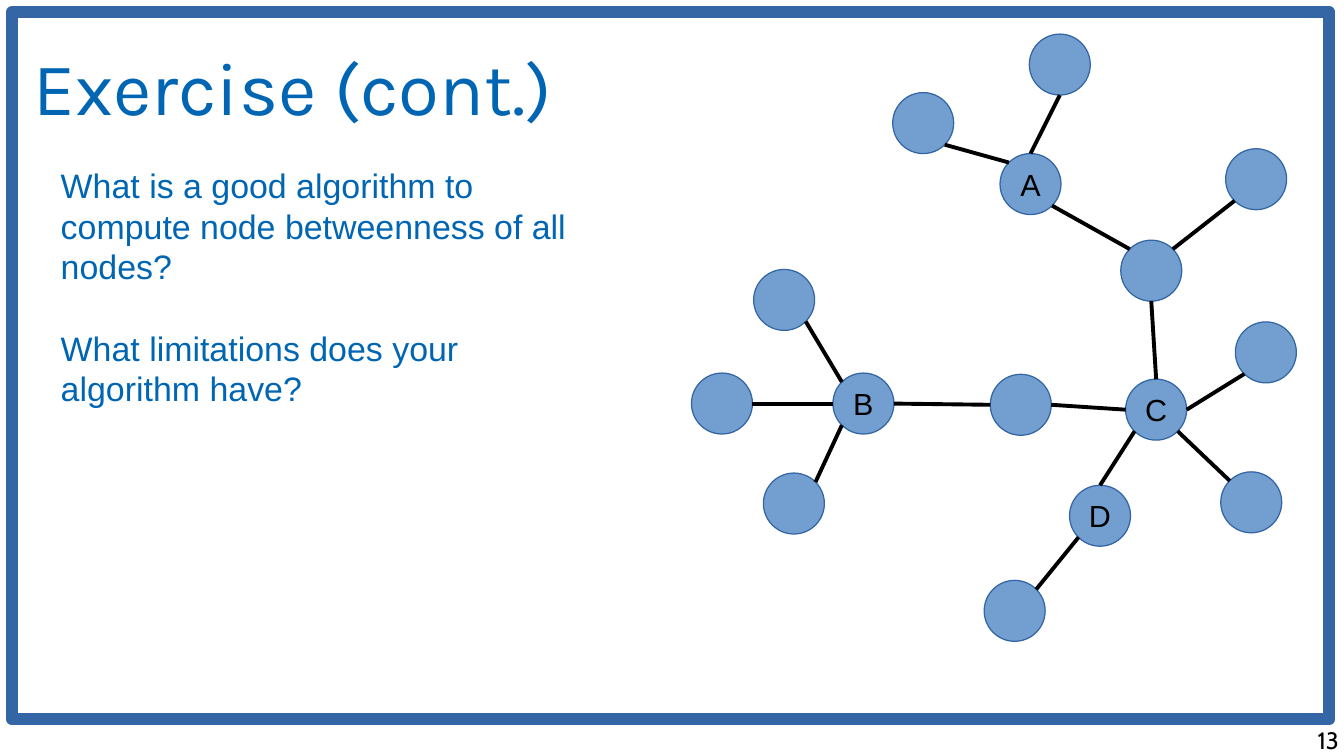
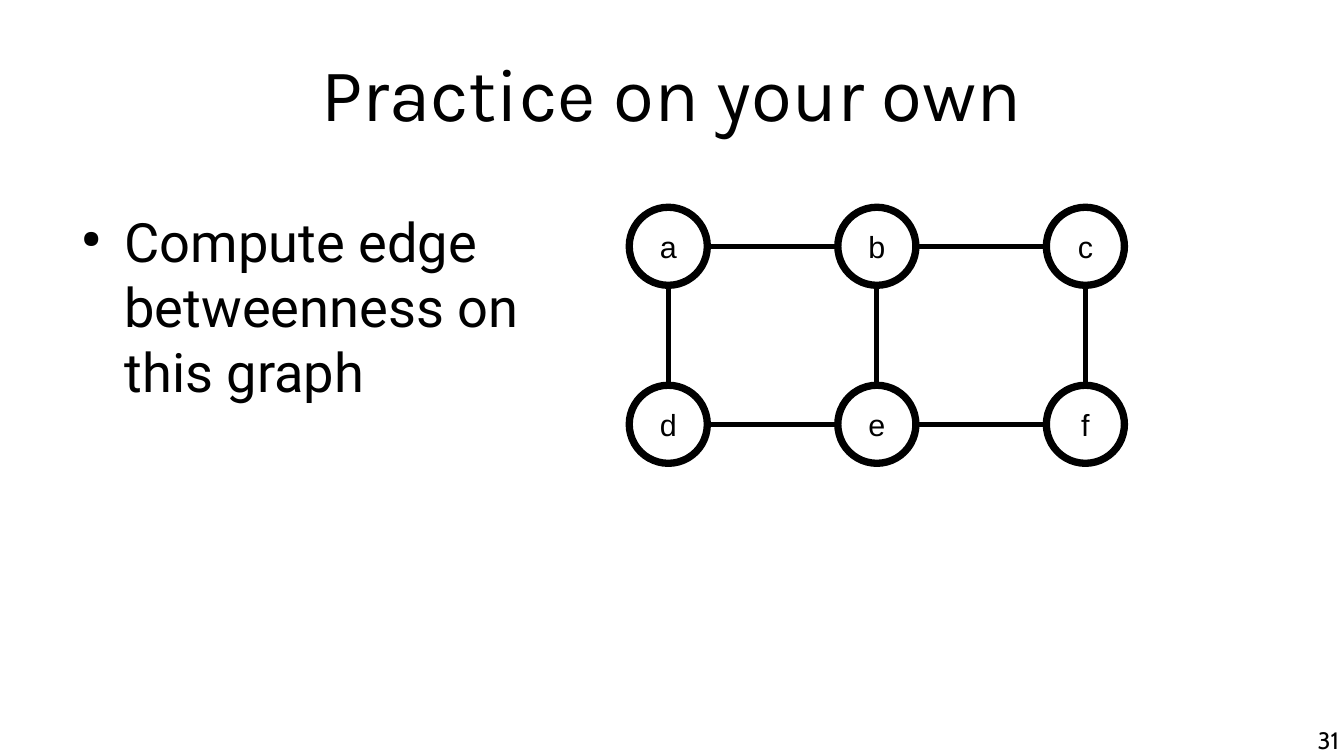
import math
from dataclasses import dataclass

import lxml.etree
import pptx
import pptx.dml.color
import pptx.enum.shapes
import pptx.enum.text
import pptx.oxml
import pptx.oxml.ns
import pptx.util

Inches = pptx.util.Inches
Pt = pptx.util.Pt
RGBColor = pptx.dml.color.RGBColor
Align = pptx.enum.text.PP_ALIGN
Anchor = pptx.enum.text.MSO_ANCHOR
ShapeType = pptx.enum.shapes.MSO_SHAPE
qn = pptx.oxml.ns.qn

# Shared style
WIDTH, HEIGHT = 11.02, 6.2
BLACK = RGBColor(0x00, 0x00, 0x00)
WHITE = RGBColor(0xFF, 0xFF, 0xFF)
TEXT_BLUE = RGBColor(0x00, 0x66, 0xB3)
FRAME_BLUE = RGBColor(0x34, 0x65, 0xA4)
NODE_BLUE = RGBColor(0x72, 0x9F, 0xCF)
TITLE_FONT, BODY_FONT, NODE_FONT, NUMBER_FONT = "Karla", "Roboto", "Arial", "Cabin"

# Points on a circle where edges attach, in degrees clockwise from the right
RIGHT, LOWER_RIGHT, BOTTOM, LOWER_LEFT = 0, 45, 90, 135
LEFT, UPPER_LEFT, TOP, UPPER_RIGHT = 180, 225, 270, 315


@dataclass(frozen=True)
class Box:
    left: float
    top: float
    width: float
    height: float

    def lengths(self) -> tuple:
        return tuple(Inches(v) for v in (self.left, self.top, self.width, self.height))


@dataclass(frozen=True)
class Node:
    x: float  # centre
    y: float
    label: str = ""


@dataclass(frozen=True)
class Edge:
    start: str
    start_side: int
    end: str
    end_side: int


@dataclass(frozen=True)
class GraphStyle:
    diameter: float
    fill: RGBColor
    outline: RGBColor
    outline_width: float
    edge_width: float

    def attach(self, node: Node, side: int) -> tuple[float, float]:
        angle, radius = math.radians(side), self.diameter / 2
        return node.x + radius * math.cos(angle), node.y + radius * math.sin(angle)


# Drawing functions
def write_text(shape, text: str, *, font: str, size: float, color: RGBColor = BLACK,
               align=Align.LEFT, anchor=Anchor.TOP, margins=(0, 0), wrap: bool = True,
               line_pitch: float | None = None, gap: float = 0,
               bullet: str = "") -> None:
    """Write one paragraph per line of text, with gap points between them."""
    frame = shape.text_frame
    frame.auto_size = pptx.enum.text.MSO_AUTO_SIZE.NONE
    frame.word_wrap = wrap
    frame.vertical_anchor = anchor
    frame.margin_left = frame.margin_right = Inches(margins[0])
    frame.margin_top = frame.margin_bottom = Inches(margins[1])
    for index, line in enumerate(text.split("\n")):
        paragraph = frame.paragraphs[0] if index == 0 else frame.add_paragraph()
        paragraph.alignment = align
        if line_pitch:
            paragraph.line_spacing = Pt(line_pitch)
        if index and gap:
            paragraph.space_before = Pt(gap)
        if bullet:
            add_bullet(paragraph, bullet)
        run = paragraph.add_run()
        run.text = line
        run.font.name, run.font.size = font, Pt(size)
        run.font.color.rgb = color


def add_bullet(paragraph, character: str) -> None:
    properties = paragraph._p.get_or_add_pPr()
    properties.set("marL", str(Inches(0.47)))
    properties.set("indent", str(Inches(-0.35)))
    color = lxml.etree.SubElement(properties, qn("a:buClr"))
    lxml.etree.SubElement(color, qn("a:srgbClr"), val=str(BLACK))
    lxml.etree.SubElement(properties, qn("a:buSzPct"), val="45000")
    lxml.etree.SubElement(properties, qn("a:buChar"), char=character)


def add_text(slide, box: Box, text: str, **text_format) -> None:
    write_text(slide.shapes.add_textbox(*box.lengths()), text, **text_format)


def add_outlined(slide, kind, box: Box, fill: RGBColor | None, outline: RGBColor,
                 outline_width: float):
    shape = slide.shapes.add_shape(kind, *box.lengths())
    shape.shadow.inherit = False
    if fill is None:
        shape.fill.background()
    else:
        shape.fill.solid()
        shape.fill.fore_color.rgb = fill
    shape.line.color.rgb = outline
    shape.line.width = Pt(outline_width)
    lxml.etree.SubElement(shape.line._get_or_add_ln(), qn("a:round"))
    return shape


def add_graph(slide, nodes: dict[str, Node], edges: list[Edge], style: GraphStyle) -> None:
    radius = style.diameter / 2
    for node in nodes.values():
        box = Box(node.x - radius, node.y - radius, style.diameter, style.diameter)
        circle = add_outlined(slide, ShapeType.OVAL, box, style.fill,
                              style.outline, style.outline_width)
        if node.label:
            write_text(circle, node.label, font=NODE_FONT, size=18, align=Align.CENTER,
                       anchor=Anchor.MIDDLE, margins=(0.1, 0.05), wrap=False)
    for edge in edges:
        points = (*style.attach(nodes[edge.start], edge.start_side),
                  *style.attach(nodes[edge.end], edge.end_side))
        line = slide.shapes.add_connector(pptx.enum.shapes.MSO_CONNECTOR.STRAIGHT,
                                          *(Inches(point) for point in points))
        line.line.color.rgb = BLACK
        line.line.width = Pt(style.edge_width)
        lxml.etree.SubElement(line._element.spPr, qn("a:effectLst"))


def add_titled_slide(presentation, title: str, title_box: Box, number: int,
                     color: RGBColor = BLACK):
    slide = presentation.slides.add_slide(presentation.slide_layouts[5])
    placeholder = slide.shapes.title
    (placeholder.left, placeholder.top,
     placeholder.width, placeholder.height) = title_box.lengths()
    write_text(placeholder, title, font=TITLE_FONT, size=44, color=color,
               align=Align.CENTER, anchor=Anchor.MIDDLE)
    add_text(slide, Box(WIDTH - 2.61, HEIGHT - 0.25, 2.57, 0.25), str(number),
             font=NUMBER_FONT, size=14, align=Align.RIGHT)
    return slide


# Slides
def build_exercise(presentation) -> None:
    slide = add_titled_slide(presentation, "Exercise (cont.)",
                             Box(0.21, -0.16, 4.39, 1.72), 13, TEXT_BLUE)
    add_outlined(slide, ShapeType.RECTANGLE, Box(0.1, 0.1, 10.8, 5.8),
                 None, FRAME_BLUE, 7.2)
    add_text(slide, Box(0.4, 1.3, 4.54, 1.96),
             "What is a good algorithm to compute node betweenness of all nodes?\n"
             "What limitations does your algorithm have?",
             font=NODE_FONT, size=20, color=TEXT_BLUE, margins=(0.1, 0.05),
             line_pitch=24, gap=24)
    nodes = {
        "A": Node(8.45, 1.51, "A"),
        "B": Node(7.08, 3.31, "B"),
        "C": Node(9.48, 3.36, "C"),
        "D": Node(9.02, 4.23, "D"),
        "A west": Node(7.57, 1.01),
        "A north": Node(8.69, 0.53),
        "A-C bridge": Node(9.44, 2.22),
        "bridge leaf": Node(10.3, 1.47),
        "B-C bridge": Node(8.37, 3.32),
        "B north": Node(6.43, 2.46),
        "B west": Node(5.92, 3.31),
        "B south": Node(6.51, 4.13),
        "C east": Node(10.38, 2.89),
        "C south": Node(10.26, 4.12),
        "D leaf": Node(8.32, 5.01),
    }
    edges = [
        Edge("A west", LOWER_RIGHT, "A", UPPER_LEFT),
        Edge("A north", BOTTOM, "A", TOP),
        Edge("A-C bridge", UPPER_LEFT, "A", LOWER_RIGHT),
        Edge("A-C bridge", UPPER_RIGHT, "bridge leaf", LOWER_LEFT),
        Edge("A-C bridge", BOTTOM, "C", TOP),
        Edge("C", RIGHT, "C east", LOWER_LEFT),
        Edge("C", LOWER_RIGHT, "C south", UPPER_LEFT),
        Edge("C", LOWER_LEFT, "D", TOP),
        Edge("D", LOWER_LEFT, "D leaf", UPPER_RIGHT),
        Edge("C", LEFT, "B-C bridge", RIGHT),
        Edge("B-C bridge", LEFT, "B", RIGHT),
        Edge("B west", RIGHT, "B", LEFT),
        Edge("B north", LOWER_RIGHT, "B", UPPER_LEFT),
        Edge("B south", UPPER_RIGHT, "B", LOWER_LEFT),
    ]
    add_graph(slide, nodes, edges, GraphStyle(0.5, NODE_BLUE, FRAME_BLUE, 0, 2.3))


def build_practice(presentation) -> None:
    slide = add_titled_slide(presentation, "Practice on your own",
                             Box(0.55, 0.01, 9.92, 1.49), 31)
    add_text(slide, Box(0.55, 1.71, 3.85, 3.81), "Compute edge betweenness on this graph",
             font=BODY_FONT, size=32, line_pitch=38.4, bullet="●")
    rows = ("abc", "def")
    nodes = {label: Node(5.48 + 1.71 * column, 2.02 + 1.46 * row, label)
             for row, labels in enumerate(rows) for column, label in enumerate(labels)}
    across = [Edge(start, RIGHT, end, LEFT)
              for labels in rows for start, end in zip(labels, labels[1:])]
    down = [Edge(upper, BOTTOM, lower, TOP) for upper, lower in zip(*rows)]
    add_graph(slide, nodes, across + down, GraphStyle(0.64, WHITE, BLACK, 4.31, 3))


def main() -> None:
    presentation = pptx.Presentation()
    presentation.slide_width = Inches(WIDTH)
    presentation.slide_height = Inches(HEIGHT)
    build_exercise(presentation)
    build_practice(presentation)
    presentation.save("out.pptx")


if __name__ == "__main__":
    main()
